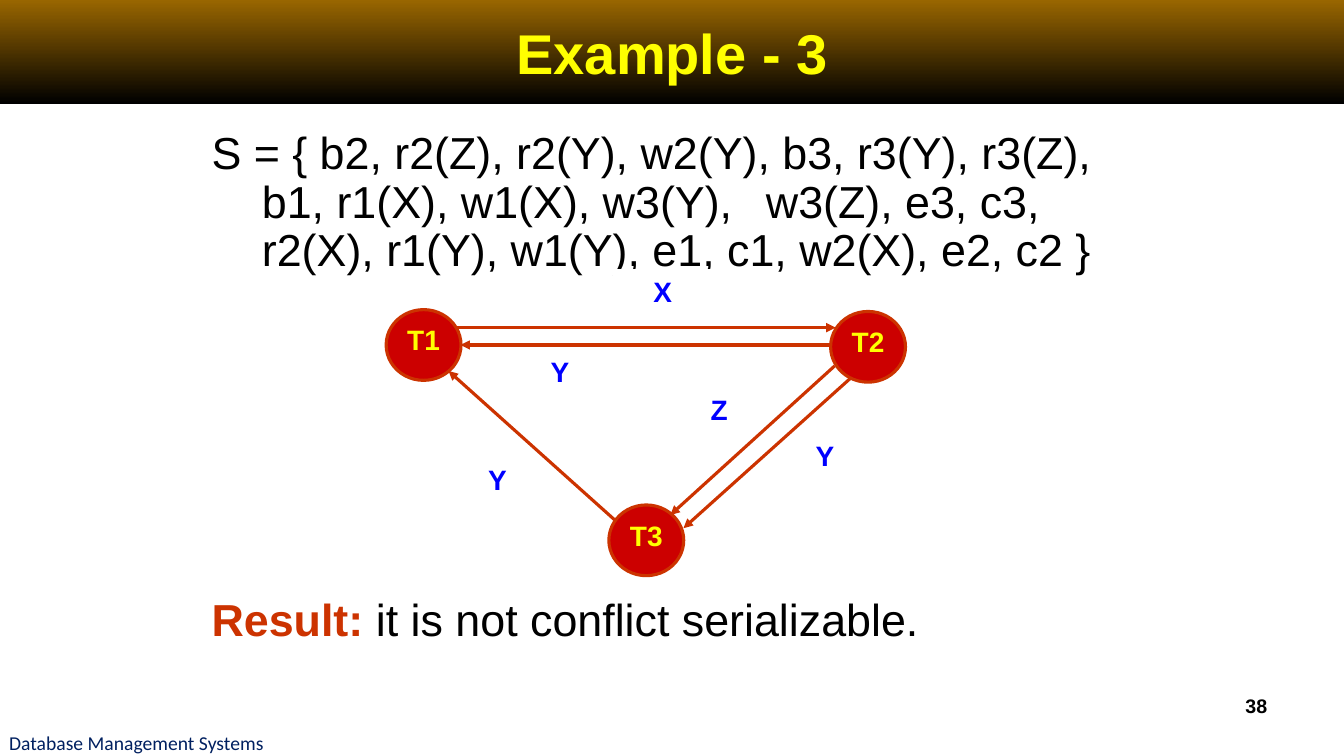
from dataclasses import dataclass

import lxml.etree
import pptx
import pptx.dml.color
import pptx.enum.shapes
import pptx.enum.text
import pptx.oxml.ns
import pptx.util

Pt = pptx.util.Pt
ALIGN = pptx.enum.text.PP_ALIGN
ANCHOR = pptx.enum.text.MSO_ANCHOR
SHAPE = pptx.enum.shapes.MSO_SHAPE
qn = pptx.oxml.ns.qn


@dataclass(frozen=True)
class Theme:
    font: str = "Arial"
    footer_font: str = "Calibri"
    title_size: float = 40
    body_size: float = 32
    graph_size: float = 20
    small_size: float = 14
    line_width: float = 2.25
    bar_top: str = "996600"
    bar_bottom: str = "000000"
    yellow: str = "FFFF00"
    black: str = "000000"
    white: str = "FFFFFF"
    navy: str = "002060"
    blue: str = "0000FF"
    node_red: str = "CC0000"
    accent: str = "CC3300"


THEME = Theme()


@dataclass(frozen=True)
class Box:
    left: float
    top: float
    width: float
    height: float

    def lengths(self) -> list:
        return [Pt(v) for v in (self.left, self.top, self.width, self.height)]


@dataclass(frozen=True)
class Run:
    text: str
    size: float
    color: str
    bold: bool = False
    font: str = THEME.font


@dataclass(frozen=True)
class Transaction:
    name: str
    left: float
    top: float


@dataclass(frozen=True)
class Conflict:
    """Arrow from one transaction to the one that must follow it."""
    start: tuple[float, float]
    end: tuple[float, float]


@dataclass(frozen=True)
class DataItem:
    name: str
    box: Box


NODE_WIDTH, NODE_HEIGHT = 53.5, 50.5

TRANSACTIONS = [
    Transaction("T1", 275.8, 221.2),
    Transaction("T2", 593.3, 222.5),
    Transaction("T3", 434.9, 360.7),
]

CONFLICTS = [
    Conflict((594, 246.4), (329, 246.4)),
    Conflict((439.2, 371.5), (320.4, 265)),
    Conflict((596.2, 261.4), (478.8, 367.9)),
    Conflict((607.7, 270), (488.2, 377.3)),
    Conflict((326.2, 234), (596.9, 234)),
]

DATA_ITEMS = [
    DataItem("X", Box(438, 192.2, 70.6, 35.3)),
    DataItem("Y", Box(382.3, 249.8, 35.3, 36)),
    DataItem("Y", Box(337.7, 326.9, 35.3, 36)),
    DataItem("Y", Box(571.7, 309.6, 35.3, 36)),
    DataItem("Z", Box(496.1, 276.5, 35.3, 33.8)),
]


def rgb(color: str) -> pptx.dml.color.RGBColor:
    return pptx.dml.color.RGBColor.from_string(color)


def write(shape, runs: list[Run], align=ALIGN.LEFT, anchor=ANCHOR.TOP,
          insets=(7.2, 3.6), hanging: float = 0, tab: float = 0) -> None:
    """Fill a shape with one paragraph; insets are horizontal and vertical."""
    across, down = map(Pt, insets)
    frame = shape.text_frame
    frame_format = {"word_wrap": True, "vertical_anchor": anchor,
                    "margin_left": across, "margin_right": across,
                    "margin_top": down, "margin_bottom": down}
    for key, value in frame_format.items():
        setattr(frame, key, value)
    paragraph = frame.paragraphs[0]
    paragraph.alignment = align
    if hanging:
        paragraph.line_spacing = 0.9
        properties = paragraph._p.get_or_add_pPr()
        properties.set("marL", str(Pt(hanging)))
        properties.set("indent", str(-Pt(hanging)))
        if tab:
            stops = lxml.etree.SubElement(properties, qn("a:tabLst"))
            lxml.etree.SubElement(stops, qn("a:tab"), pos=str(Pt(tab)), algn="l")
    for part in runs:
        run = paragraph.add_run()
        run.text = part.text
        run_format = {"name": part.font, "size": Pt(part.size), "bold": part.bold}
        for key, value in run_format.items():
            setattr(run.font, key, value)
        run.font.color.rgb = rgb(part.color)


def add_text(slide, box: Box, runs: list[Run], **layout) -> None:
    write(slide.shapes.add_textbox(*box.lengths()), runs, **layout)


def add_bar(slide, box: Box):
    bar = slide.shapes.add_shape(SHAPE.RECTANGLE, *box.lengths())
    bar.shadow.inherit = False
    bar.line.fill.background()
    bar.fill.gradient()
    bar.fill.gradient_angle = 270
    for stop, color in zip(bar.fill.gradient_stops, (THEME.bar_top, THEME.bar_bottom)):
        stop.color.rgb = rgb(color)
    return bar


def add_transaction(slide, transaction: Transaction) -> None:
    box = Box(transaction.left, transaction.top, NODE_WIDTH, NODE_HEIGHT)
    node = slide.shapes.add_shape(SHAPE.OVAL, *box.lengths())
    node.shadow.inherit = False
    node.fill.solid()
    node.fill.fore_color.rgb = rgb(THEME.node_red)
    node.line.color.rgb = rgb(THEME.accent)
    node.line.width = Pt(THEME.line_width)
    write(node, [Run(transaction.name, THEME.graph_size, THEME.yellow, True)],
          align=ALIGN.CENTER, insets=(2, 2))


def add_conflict(slide, conflict: Conflict) -> None:
    arrow = slide.shapes.add_connector(
        pptx.enum.shapes.MSO_CONNECTOR.STRAIGHT,
        *map(Pt, conflict.start + conflict.end))
    arrow.line.color.rgb = rgb(THEME.accent)
    arrow.line.width = Pt(THEME.line_width)
    lxml.etree.SubElement(arrow.line._get_or_add_ln(), qn("a:tailEnd"), type="triangle")
    lxml.etree.SubElement(arrow._element.spPr, qn("a:effectLst"))


def add_data_item(slide, item: DataItem) -> None:
    label = slide.shapes.add_shape(SHAPE.RECTANGLE, *item.box.lengths())
    label.shadow.inherit = False
    label.fill.solid()
    label.fill.fore_color.rgb = rgb(THEME.white)
    label.line.fill.background()
    write(label, [Run(item.name, THEME.graph_size, THEME.blue, True)], align=ALIGN.CENTER)


def main() -> None:
    deck = pptx.Presentation()
    deck.slide_width, deck.slide_height = Pt(960), Pt(540)
    slide = deck.slides.add_slide(deck.slide_layouts[6])

    add_text(slide, Box(6.5, 520.6, 357, 19.4),
             [Run("Database Management Systems", THEME.small_size, THEME.navy,
                  font=THEME.footer_font)],
             anchor=ANCHOR.MIDDLE, insets=(0, 0))
    add_bar(slide, Box(0, 0, 960, 74.2))
    add_text(slide, Box(688.3, 491.8, 224, 37.4),
             [Run("38", THEME.small_size, THEME.black, True)], align=ALIGN.RIGHT)
    schedule = ("S = { b2, r2(Z), r2(Y), w2(Y), b3, r3(Y), r3(Z), b1, r1(X), w1(X), "
                "w3(Y),\tw3(Z), e3, c3, r2(X), r1(Y), w1(Y), e1, c1, w2(X), e2, c2 }")
    add_text(slide, Box(144, 90, 680, 115),
             [Run(schedule, THEME.body_size, THEME.black)], hanging=36, tab=412.5)
    add_text(slide, Box(144, 423.5, 680, 45),
             [Run("Result:", THEME.body_size, THEME.accent, True),
              Run(" it is not conflict serializable.", THEME.body_size, THEME.black)],
             hanging=36)
    title = add_bar(slide, Box(120, 0, 720, 74.2))
    write(title, [Run("Example - 3", THEME.title_size, THEME.yellow, True)],
          align=ALIGN.CENTER, anchor=ANCHOR.MIDDLE)

    for transaction in TRANSACTIONS:
        add_transaction(slide, transaction)
    for conflict in CONFLICTS:
        add_conflict(slide, conflict)
    for item in DATA_ITEMS:
        add_data_item(slide, item)

    deck.save("out.pptx")


if __name__ == "__main__":
    main()
